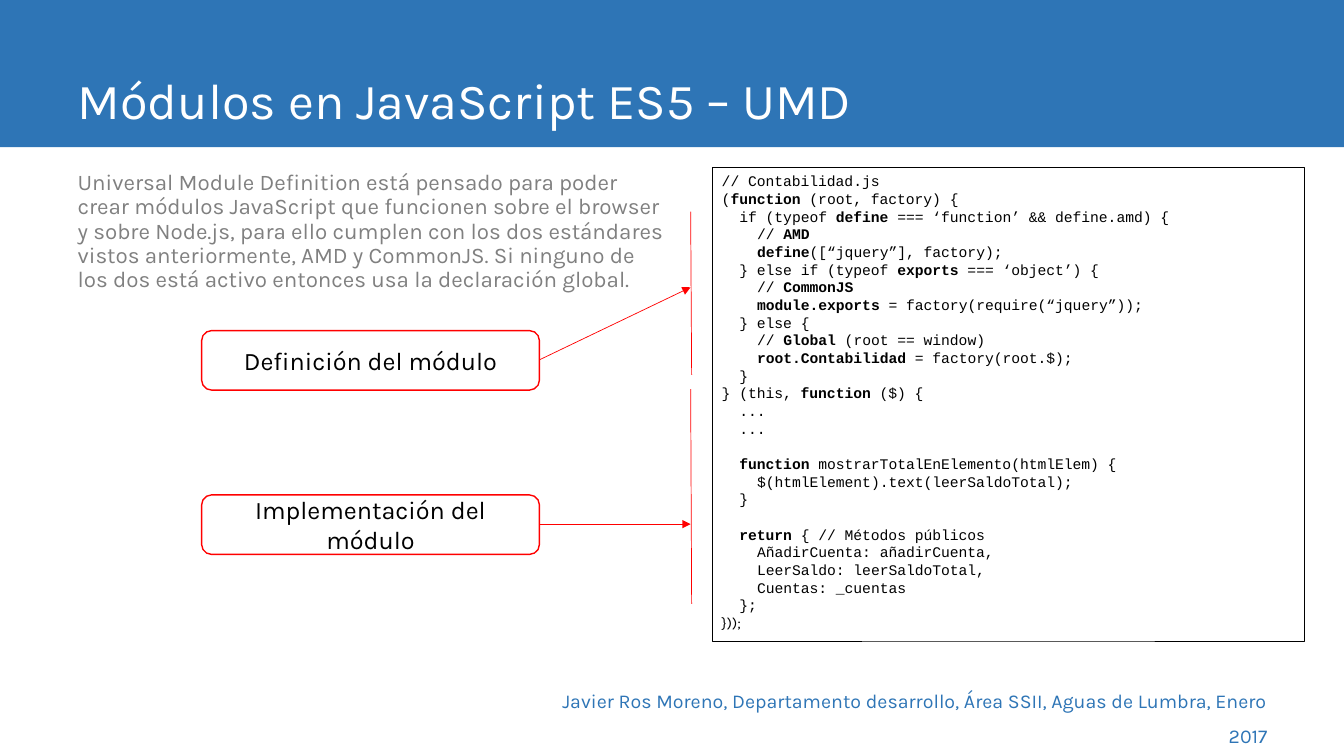
import pptx
import pptx.util
import pptx.dml.color
import pptx.enum.shapes
import pptx.enum.text
import pptx.oxml
import pptx.oxml.ns

Inches, Pt = pptx.util.Inches, pptx.util.Pt
RGBColor = pptx.dml.color.RGBColor
MSO_SHAPE = pptx.enum.shapes.MSO_SHAPE
PP_ALIGN = pptx.enum.text.PP_ALIGN
MSO_ANCHOR = pptx.enum.text.MSO_ANCHOR

BLUE = RGBColor(0x2E, 0x75, 0xB6)
WHITE = RGBColor(0xFF, 0xFF, 0xFF)
GRAY = RGBColor(0x80, 0x80, 0x80)
BLACK = RGBColor(0x00, 0x00, 0x00)
RED = RGBColor(0xFF, 0x00, 0x00)

TEXT_FONT, CODE_FONT = "Karla", "Courier New"
CODE_SIZE, CODE_LINE = 10.5, 12.6
INDENT_STEP = Pt(2 * 0.6 * CODE_SIZE)  # two monospaced characters

DESCRIPTION = (
    "Universal Module Definition está pensado para poder crear módulos "
    "JavaScript que funcionen sobre el browser y sobre Node.js, para ello "
    "cumplen con los dos estándares vistos anteriormente, AMD y CommonJS. "
    "Si ninguno de los dos está activo entonces usa la declaración global.")
CREDIT = ("Javier Ros Moreno, Departamento desarrollo, Área SSII, "
          "Aguas de Lumbra, Enero 2017")

# Indent level and text of each code line; ** surrounds bold words,
# and None leaves a one-line gap
CODE = [
    (0, "// Contabilidad.js"),
    (0, "(**function **(root, factory) {"),
    (1, "if (typeof **define** === ‘function’ && define.amd) {"),
    (2, "// **AMD**"),
    (2, "**define**([“jquery”], factory);"),
    (1, "} else if (typeof **exports** === ‘object’) {"),
    (2, "// **CommonJS**"),
    (2, "**module.exports** = factory(require(“jquery”));"),
    (1, "} else {"),
    (2, "// **Global** (root == window)"),
    (2, "**root.Contabilidad** = factory(root.$);"),
    (1, "}"),
    (0, "} (this, **function** ($) {"),
    (1, "..."),
    (1, "..."),
    None,
    (1, "**function **mostrarTotalEnElemento(htmlElem) {"),
    (2, "$(htmlElement).text(leerSaldoTotal);"),
    (1, "}"),
    None,
    (1, "**return** { // Métodos públicos"),
    (2, "AñadirCuenta: añadirCuenta,"),
    (2, "LeerSaldo: leerSaldoTotal,"),
    (2, "Cuentas: _cuentas"),
    (1, "};"),
    (0, "}));"),
]


def format_run(run, size, color, font=TEXT_FONT, bold=False):
    run.font.name = font
    run.font.size = Pt(size)
    run.font.color.rgb = color
    run.font.bold = bold


def write_text(shape, text, size, color, align=PP_ALIGN.LEFT,
               anchor=MSO_ANCHOR.TOP, spacing=1.0):
    frame = shape.text_frame
    frame.text = text
    frame.word_wrap = True
    frame.auto_size = pptx.enum.text.MSO_AUTO_SIZE.NONE
    frame.vertical_anchor = anchor
    paragraph = frame.paragraphs[0]
    paragraph.alignment = align
    paragraph.line_spacing = spacing
    paragraph.space_before = Pt(0)
    format_run(paragraph.runs[0], size, color)
    return paragraph


def place(shape, left, top, width, height):
    shape.left, shape.top = Inches(left), Inches(top)
    shape.width, shape.height = Inches(width), Inches(height)


def add_box(slide, kind, left, top, width, height,
            fill=None, line=None, line_width=1):
    box = slide.shapes.add_shape(kind, Inches(left), Inches(top),
                                 Inches(width), Inches(height))
    box.shadow.inherit = False
    if fill is None:
        box.fill.background()
    else:
        box.fill.solid()
        box.fill.fore_color.rgb = fill
    if line is None:
        box.line.fill.background()
    else:
        box.line.color.rgb = line
        box.line.width = Pt(line_width)
    return box


def add_red_line(slide, x1, y1, x2, y2, arrow=False):
    line = slide.shapes.add_connector(
        pptx.enum.shapes.MSO_CONNECTOR.STRAIGHT,
        Inches(x1), Inches(y1), Inches(x2), Inches(y2))
    line.line.color.rgb = RED
    line.line.width = Pt(0.5)
    if arrow:
        head = pptx.oxml.ns.qn("a:tailEnd")
        line.line._get_or_add_ln().makeelement(head)
        tail = line.line._get_or_add_ln().makeelement(head, {"type": "triangle"})
        line.line._get_or_add_ln().append(tail)
    properties = line._element.spPr
    properties.append(properties.makeelement(pptx.oxml.ns.qn("a:effectLst")))


def add_label(slide, text, top):
    label = add_box(slide, MSO_SHAPE.ROUNDED_RECTANGLE, 2, top, 3.35, 0.59,
                    line=RED)
    write_text(label, text, 18, BLACK, PP_ALIGN.CENTER, MSO_ANCHOR.MIDDLE)


def add_code(slide):
    listing = add_box(slide, MSO_SHAPE.RECTANGLE, 7.06, 1.66, 5.88, 4.7,
                      line=BLACK, line_width=0.25)
    frame = listing.text_frame
    frame.word_wrap = True
    frame.vertical_anchor = MSO_ANCHOR.TOP
    gap = 0
    for number, code_line in enumerate(CODE):
        if code_line is None:
            gap = CODE_LINE
            continue
        level, text = code_line
        paragraph = frame.add_paragraph() if number else frame.paragraphs[0]
        paragraph.alignment = PP_ALIGN.LEFT
        paragraph.line_spacing = Pt(CODE_LINE)
        paragraph.space_before = Pt(gap)
        paragraph._p.get_or_add_pPr().set("marL", str(int(level * INDENT_STEP)))
        gap = 0
        font = TEXT_FONT if number == len(CODE) - 1 else CODE_FONT
        for part, words in enumerate(text.split("**")):
            if words:
                run = paragraph.add_run()
                run.text = words
                format_run(run, CODE_SIZE, BLACK, font, bold=part % 2 == 1)


def main():
    deck = pptx.Presentation()
    deck.slide_width, deck.slide_height = Inches(13.33), Inches(7.5)
    slide = deck.slides.add_slide(deck.slide_layouts[1])
    title, description = slide.placeholders

    # Header band, behind the title
    band = add_box(slide, MSO_SHAPE.RECTANGLE, 0, 0, 13.33, 1.46, fill=BLUE)
    slide.shapes._spTree.insert(2, band._element)
    place(title, 0.67, 0, 11.74, 1.34)
    write_text(title, "Módulos en JavaScript ES5 – UMD", 36, WHITE,
               anchor=MSO_ANCHOR.BOTTOM, spacing=0.9)

    # Description without bullet
    place(description, 0.67, 1.65, 6.02, 4.98)
    paragraph = write_text(description, DESCRIPTION, 16, GRAY, spacing=0.9)
    properties = paragraph._p.get_or_add_pPr()
    properties.set("marL", "0")
    properties.set("indent", "0")
    properties.append(properties.makeelement(pptx.oxml.ns.qn("a:buNone")))

    # Code listing and the labels of its two parts
    add_code(slide)
    add_label(slide, "Definición del módulo", 3.28)
    add_label(slide, "Implementación del módulo", 4.91)
    add_red_line(slide, 6.85, 2.1, 6.86, 3.72)
    add_red_line(slide, 6.85, 3.86, 6.86, 5.99)
    add_red_line(slide, 5.35, 3.57, 6.85, 2.85, arrow=True)
    add_red_line(slide, 5.35, 5.2, 6.85, 5.2, arrow=True)

    # Credit line
    credit = slide.shapes.add_textbox(Inches(5.2), Inches(6.63),
                                      Inches(7.47), Inches(0.87))
    write_text(credit, CREDIT, 14, BLUE, PP_ALIGN.RIGHT, MSO_ANCHOR.MIDDLE, 1.5)

    deck.save("out.pptx")


if __name__ == "__main__":
    main()
